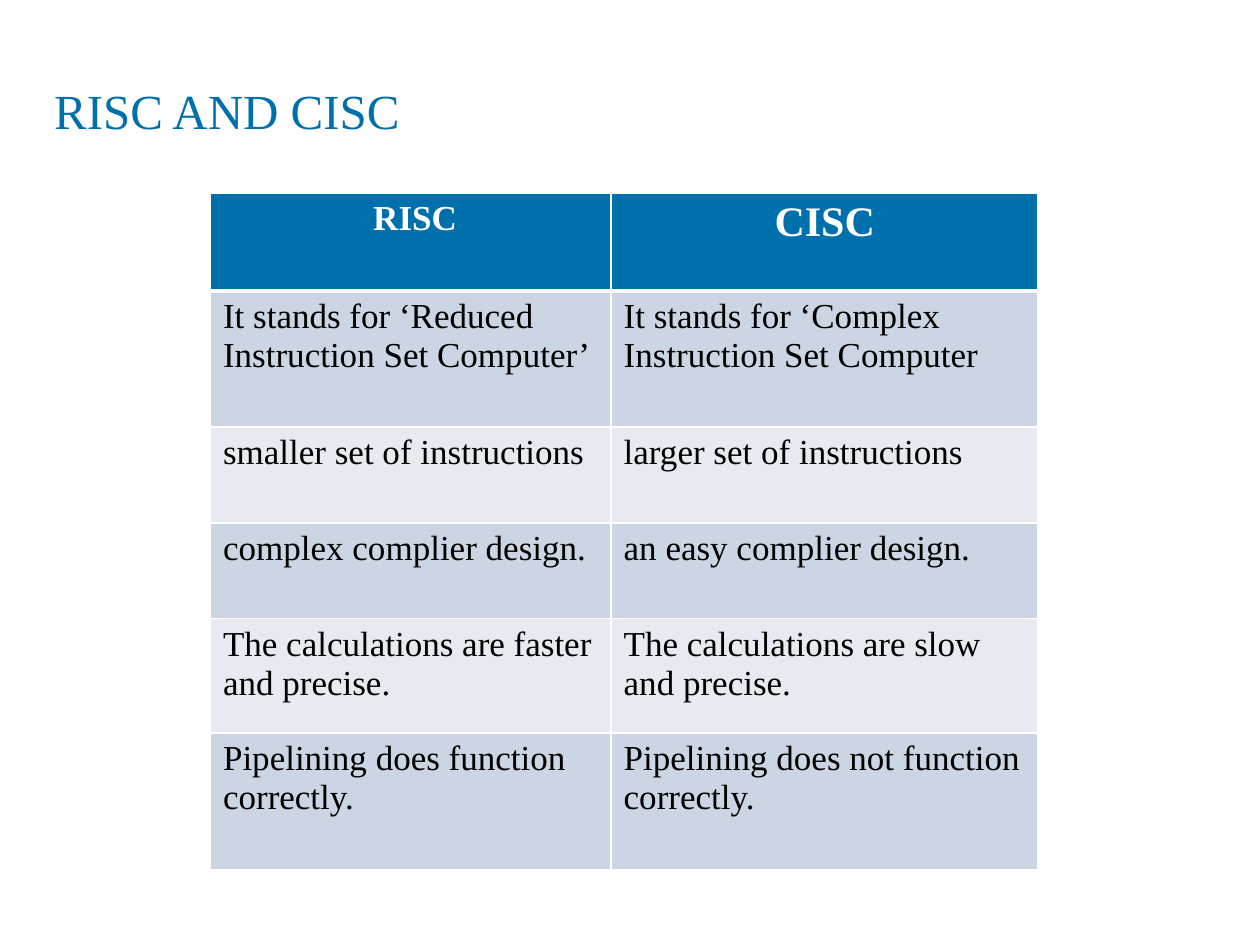
from lxml import etree
from pptx import Presentation
from pptx import util as u
from pptx.dml.color import RGBColor
from pptx.enum import text
from pptx.oxml import ns

COLORS = {
    "accent": "0070AD",
    "white": "FFFFFF",
    "black": "000000",
    "band_dark": "CCD5E3",
    "band_light": "E7EBF1",
}
TITLE_ONLY = 5

COLUMN_WIDTHS = [3.18, 3.39]
ROW_HEIGHTS = [0.78, 1.08, 0.76, 0.76, 0.91, 1.08]
HEADER_SIZES = [20, 24]
COMPARISON = [
    (" RISC", "CISC"),
    ("It stands for ‘Reduced Instruction Set Computer’",
     "It stands for ‘Complex Instruction Set Computer"),
    ("smaller set of instructions", "larger set of instructions"),
    ("complex complier design.", "an easy complier design."),
    ("The calculations are faster and precise.",
     "The calculations are slow and precise."),
    ("Pipelining does function correctly.",
     "Pipelining does not function correctly."),
]


def rgb(name):
    return RGBColor.from_string(COLORS[name])


class SlideBuilder:
    font_name = "Times New Roman"

    def __init__(self, slide):
        self.slide = slide

    def style(self, paragraph, size, color, bold=False):
        font = paragraph.font
        font.name, font.size, font.bold = self.font_name, u.Pt(size), bold
        font.color.rgb = rgb(color)

    def title(self, words, left, top, width, height):
        shape = self.slide.shapes.title
        shape.left, shape.top = u.Inches(left), u.Inches(top)
        shape.width, shape.height = u.Inches(width), u.Inches(height)
        frame = shape.text_frame
        frame.text = words
        frame.word_wrap = True
        frame.auto_size = text.MSO_AUTO_SIZE.NONE
        frame.vertical_anchor = text.MSO_ANCHOR.TOP
        paragraph = frame.paragraphs[0]
        paragraph.alignment = text.PP_ALIGN.LEFT
        paragraph.line_spacing = u.Pt(22.5)
        self.style(paragraph, 28, "accent")

    def borders(self, cell, **widths):
        properties = cell._tc.get_or_add_tcPr()
        for side in ("L", "R", "T", "B"):
            line = etree.SubElement(properties, ns.qn(f"a:ln{side}"),
                                    w=str(u.Pt(widths.get(side, 1))))
            fill = etree.SubElement(line, ns.qn("a:solidFill"))
            etree.SubElement(fill, ns.qn("a:srgbClr"), val=COLORS["white"])

    def cell(self, cell, words, row, column):
        header = row == 0
        # Borders come before the fill in the cell properties
        self.borders(cell, T=3 if row == 1 else 1, B=3 if header else 1)
        band = "band_dark" if row % 2 else "band_light"
        cell.fill.solid()
        cell.fill.fore_color.rgb = rgb("accent" if header else band)
        cell.text = words
        paragraph = cell.text_frame.paragraphs[0]
        if header:
            paragraph.alignment = text.PP_ALIGN.CENTER
            self.style(paragraph, HEADER_SIZES[column], "white", bold=True)
        else:
            self.style(paragraph, 20, "black")

    def table(self, rows, left, top):
        table = self.slide.shapes.add_table(
            len(rows), len(COLUMN_WIDTHS), u.Inches(left), u.Inches(top),
            u.Inches(sum(COLUMN_WIDTHS)), u.Inches(sum(ROW_HEIGHTS))).table
        for column, width in zip(table.columns, COLUMN_WIDTHS):
            column.width = u.Inches(width)
        for row, height in zip(table.rows, ROW_HEIGHTS):
            row.height = u.Inches(height)
        for r, row in enumerate(rows):
            for c, words in enumerate(row):
                self.cell(table.cell(r, c), words, r, c)


def main():
    presentation = Presentation()
    presentation.slide_width = u.Inches(10)
    presentation.slide_height = u.Inches(7.5)
    layout = presentation.slide_layouts[TITLE_ONLY]
    builder = SlideBuilder(presentation.slides.add_slide(layout))

    # Title
    builder.title("RISC AND CISC", 0.33, 0.74, 9.33, 4.27)

    # Comparison table
    builder.table(COMPARISON, 1.67, 1.53)

    presentation.save("out.pptx")


if __name__ == "__main__":
    main()
